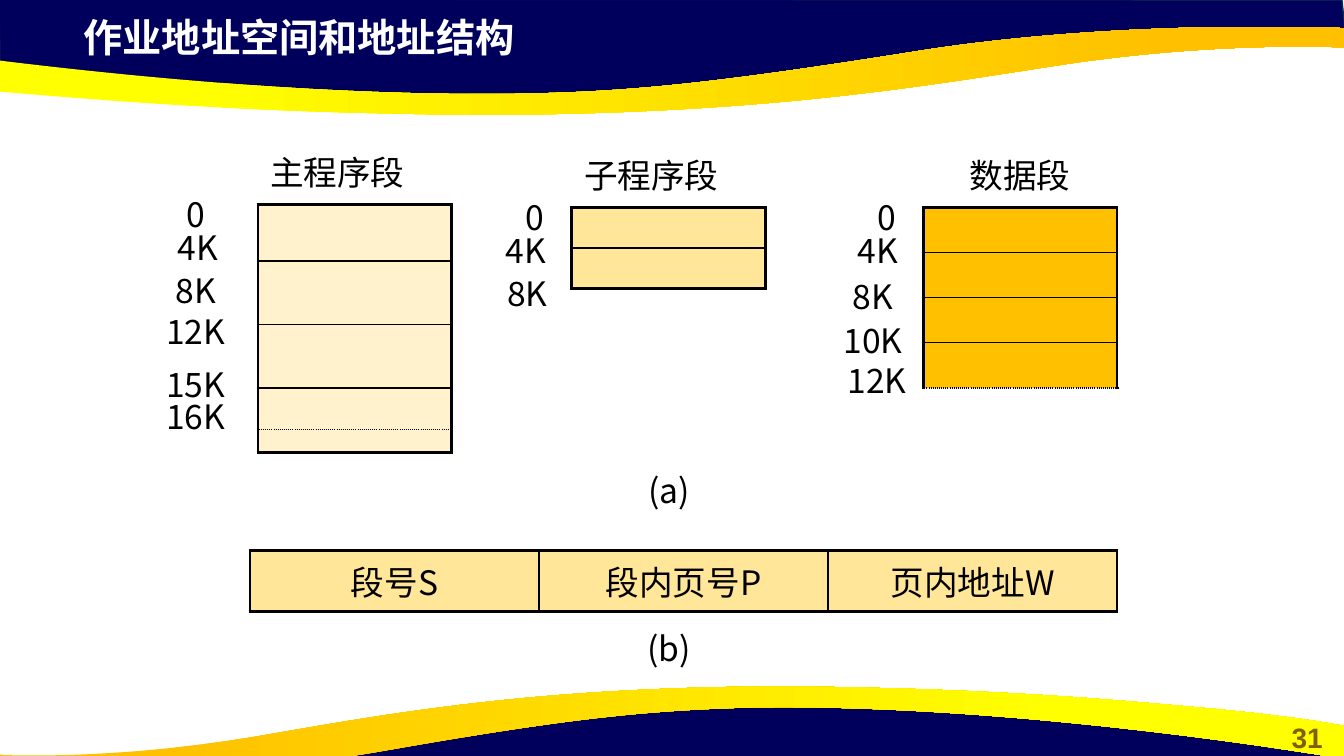
from dataclasses import dataclass
from typing import Any, NamedTuple

from lxml import etree
from pptx import Presentation
from pptx.dml.color import RGBColor
from pptx.enum.text import MSO_ANCHOR, PP_ALIGN
from pptx.oxml.ns import qn
from pptx.util import Inches, Pt

CENTER, LEFT, MIDDLE = PP_ALIGN.CENTER, PP_ALIGN.LEFT, MSO_ANCHOR.MIDDLE
CJK_FONT = "Noto Sans CJK SC"
COLORS = {
    "navy": "00005C", "navy_edge": "05304F", "yellow": "FFFF00", "amber": "FFC000",
    "cream": "FFF2CC", "sand": "FFE699", "olive": "806000",
    "black": "000000", "white": "FFFFFF",
}
BODY = {"size": Pt(24), "name": CJK_FONT, "bold": False}
TITLE = {"size": Pt(28), "name": "Arial", "bold": True}
PAGE = {"size": Pt(20), "name": "Arial", "bold": True}
FRAME = {"margin_left": Inches(0.1), "margin_right": Inches(0.1),
         "margin_top": Inches(0.05), "margin_bottom": Inches(0.05),
         "word_wrap": True, "vertical_anchor": MIDDLE}
CELL = {"margin_left": 0, "margin_right": 0, "margin_top": 0, "margin_bottom": 0,
        "vertical_anchor": MIDDLE}

Point = tuple[float, float]


class Rule(NamedTuple):
    width: float
    dash: str = "solid"


class Label(NamedTuple):
    text: str
    left: float
    top: float
    width: float


class Stop(NamedTuple):
    position: float
    color: str


@dataclass
class Grid:
    left: float
    top: float
    widths: list[float]
    heights: list[float]
    fill: str
    across: list[Rule]
    upright: list[Rule]
    texts: tuple[str, ...] = ()


@dataclass
class Wave:
    """Each segment is one end point, or two control points and an end point."""
    start: Point
    segments: list[tuple[Point, ...]]
    stops: list[Stop]


THICK, THIN, DOTTED = Rule(2.25), Rule(1), Rule(1, "sysDot")
SIDES = [THICK, THICK]

GRIDS = [
    Grid(2.56, 2.03, [1.92], [0.56, 0.63, 0.63, 0.41, 0.23], "cream",
         [THICK, THIN, THIN, THIN, DOTTED, THICK], SIDES),
    Grid(5.67, 2.06, [1.92], [0.4] * 2, "sand", [THICK, THIN, THICK], SIDES),
    Grid(2.48, 5.46, [8.6 / 3] * 3, [0.61], "sand", SIDES,
         [THICK, THIN, THIN, THICK], ("段号S", "段内页号P", "页内地址W")),
    Grid(9.16, 2.06, [1.92], [1.79 / 4] * 4, "amber",
         [THICK, THIN, THIN, THIN, DOTTED], SIDES),
]

LABELS = [
    # Main program segment
    Label("主程序段", 2.54, 1.45, 1.61),
    Label("0", 1.4, 1.87, 1.08), Label("4K", 1.42, 2.2, 1.08),
    Label("8K", 1.4, 2.62, 1.08), Label("12K", 1.4, 3.03, 1.08),
    Label("15K", 1.4, 3.55, 1.08), Label("16K", 1.4, 3.87, 1.08),
    # Subroutine segment
    Label("子程序段", 5.67, 1.48, 1.58),
    Label("0", 5.01, 1.9, 0.58), Label("4K", 4.81, 2.23, 0.81),
    Label("8K", 4.87, 2.65, 0.72),
    # Data segment
    Label("数据段", 9.49, 1.48, 1.25),
    Label("0", 8.52, 1.9, 0.56), Label("4K", 8.3, 2.23, 0.81),
    Label("8K", 8.24, 2.68, 0.83), Label("10K", 8.23, 3.12, 0.86),
    Label("12K", 8.27, 3.52, 0.86),
    # Figure captions
    Label("(a)", 6.01, 4.61, 1.25), Label("(b)", 6.01, 6.17, 1.25),
]

HEADER_BAND = [(-0.01, -0.01), (0, 0.7), (2.93, 1.02), (5.59, 1), (7.95, 0.88),
               (10.16, 0.5), (12.38, 0.33), (13.35, 0.38), (13.31, 0)]
FOOTER_BAND = [(13.33, 7.94), (13.32, 7.24), (10.4, 6.91), (7.73, 6.93), (5.38, 7.06),
               (3.17, 7.43), (0.95, 7.6), (-0.03, 7.56), (0.01, 7.93)]
HEADER_WAVE = Wave((4.83, 1.14), [
    ((4.43, 1.14), (4.01, 1.13), (3.56, 1.12)),
    ((2.06, 1.08), (1.1, 1), (0.36, 0.94)),
    ((-0.88, 0.84), (-1.3, 0.75), (-1.33, 0.75)),
    ((-1.33, 0.42),),
    ((-1.33, 0.42), (2.18, 0.98), (5.17, 0.93)),
    ((6.26, 0.91), (7.08, 0.83), (9.15, 0.5)),
    ((11.21, 0.18), (13.33, 0.28), (13.33, 0.28)),
    ((13.33, 0.47),), ((13.3, 0.47),),
    ((13.05, 0.46), (11.95, 0.43), (10.55, 0.64)),
    ((9.18, 0.85), (7.62, 1.13), (4.83, 1.14)),
], [Stop(0.22, "yellow"), Stop(0.89, "amber")])
FOOTER_WAVE = Wave((7.72, 6.81), [
    ((8.09, 6.81), (8.47, 6.82), (8.88, 6.83)),
    ((10.25, 6.87), (11.12, 6.95), (11.79, 7.01)),
    ((12.92, 7.11), (13.3, 7.2), (13.33, 7.2)),
    ((13.33, 7.53),),
    ((13.33, 7.53), (10.14, 6.97), (7.42, 7.02)),
    ((6.42, 7.05), (5.67, 7.12), (3.8, 7.45)),
    ((1.92, 7.78), (-0.01, 7.68), (-0.01, 7.68)),
    ((-0.01, 7.48),), ((0.02, 7.49),),
    ((0.25, 7.5), (1.25, 7.52), (2.52, 7.31)),
    ((3.76, 7.1), (5.19, 6.82), (7.72, 6.81)),
], [Stop(0.11, "amber"), Stop(0.78, "yellow")])


def rgb(color: str) -> RGBColor:
    return RGBColor.from_string(COLORS[color])


def apply(target: Any, values: dict[str, Any]) -> None:
    for attribute, value in values.items():
        setattr(target, attribute, value)


def write(frame: Any, text: str, font: dict[str, Any], color: str,
          align: Any = CENTER) -> None:
    paragraph = frame.paragraphs[0]
    paragraph.alignment = align
    run = paragraph.add_run()
    run.text = text
    apply(run.font, font)
    run.font.color.rgb = rgb(color)
    etree.SubElement(run.font._element, qn("a:ea"), typeface=CJK_FONT)


def draw_label(slide: Any, label: Label, height: float = 0.51,
               font: dict[str, Any] = BODY, color: str = "black") -> None:
    box = slide.shapes.add_textbox(Inches(label.left), Inches(label.top),
                                   Inches(label.width), Inches(height))
    apply(box.text_frame, FRAME)
    write(box.text_frame, label.text, font, color)


def draw_outline(slide: Any, points: list[Point]) -> Any:
    corners = [(Inches(x), Inches(y)) for x, y in points]
    builder = slide.shapes.build_freeform(*corners[0], scale=1.0)
    builder.add_line_segments(corners[1:], close=True)
    outline = builder.convert_to_shape()
    outline.shadow.inherit = False
    return outline


def draw_band(slide: Any, points: list[Point]) -> None:
    band = draw_outline(slide, points)
    band.fill.solid()
    band.fill.fore_color.rgb = rgb("navy")
    band.line.color.rgb = rgb("navy_edge")
    band.line.width = Pt(1)


def draw_wave(slide: Any, wave: Wave) -> None:
    ribbon = draw_outline(slide, [wave.start] + [segment[-1] for segment in wave.segments])
    # Bend the straight sides that have control points
    sides = list(ribbon.element.iter(qn("a:lnTo")))
    for side, segment in zip(sides, wave.segments):
        if len(segment) == 3:
            curve = etree.Element(qn("a:cubicBezTo"))
            for x, y in segment:
                etree.SubElement(curve, qn("a:pt"), x=str(Inches(x) - ribbon.left),
                                 y=str(Inches(y) - ribbon.top))
            side.getparent().replace(side, curve)
    ribbon.line.fill.background()
    ribbon.fill.gradient()
    ribbon.fill.gradient_angle = 0
    for gradient_stop, stop in zip(ribbon.fill.gradient_stops, wave.stops):
        gradient_stop.position = stop.position
        gradient_stop.color.rgb = rgb(stop.color)


def draw_border(cell: Any, side: str, rule: Rule) -> None:
    line = etree.SubElement(cell._tc.get_or_add_tcPr(), qn(f"a:{side}"), w=str(Pt(rule.width)))
    solid = etree.SubElement(line, qn("a:solidFill"))
    etree.SubElement(solid, qn("a:srgbClr"), val=COLORS["black"])
    etree.SubElement(line, qn("a:prstDash"), val=rule.dash)


def draw_grid(slide: Any, grid: Grid) -> None:
    table = slide.shapes.add_table(
        len(grid.heights), len(grid.widths), Inches(grid.left), Inches(grid.top),
        Inches(sum(grid.widths)), Inches(sum(grid.heights))).table
    apply(table, {"first_row": False, "horz_banding": False})
    for column, width in zip(table.columns, grid.widths):
        column.width = Inches(width)
    for r, height in enumerate(grid.heights):
        table.rows[r].height = Inches(height)
        for c in range(len(grid.widths)):
            cell = table.cell(r, c)
            apply(cell, CELL)
            for side, rule in (("lnL", grid.upright[c]), ("lnR", grid.upright[c + 1]),
                               ("lnT", grid.across[r]), ("lnB", grid.across[r + 1])):
                draw_border(cell, side, rule)
            cell.fill.solid()
            cell.fill.fore_color.rgb = rgb(grid.fill)
            if grid.texts:
                write(cell.text_frame, grid.texts[c], BODY, "black")
            else:  # small empty line keeps the row height
                etree.SubElement(cell.text_frame.paragraphs[0]._p, qn("a:endParaRPr"), sz="800")


def main() -> None:
    deck = Presentation()
    apply(deck, {"slide_width": Inches(13.33), "slide_height": Inches(7.5)})
    slide = deck.slides.add_slide(deck.slide_layouts[5])
    # Header and footer decoration
    for band, wave in ((HEADER_BAND, HEADER_WAVE), (FOOTER_BAND, FOOTER_WAVE)):
        draw_band(slide, band)
        draw_wave(slide, wave)
    draw_label(slide, Label("31", 12.6, 7.09, 0.73), 0.44, PAGE, "olive")
    # Title, raised above the header band
    title = slide.shapes.title
    apply(title, {"left": Inches(0.73), "top": Inches(0.08),
                  "width": Inches(7.68), "height": Inches(0.57)})
    apply(title.text_frame, FRAME)
    write(title.text_frame, "作业地址空间和地址结构", TITLE, "white", LEFT)
    title.element.getparent().append(title.element)
    # Segments and address structure
    for grid in GRIDS:
        draw_grid(slide, grid)
    for label in LABELS:
        draw_label(slide, label)
    deck.save("out.pptx")


if __name__ == "__main__":
    main()
